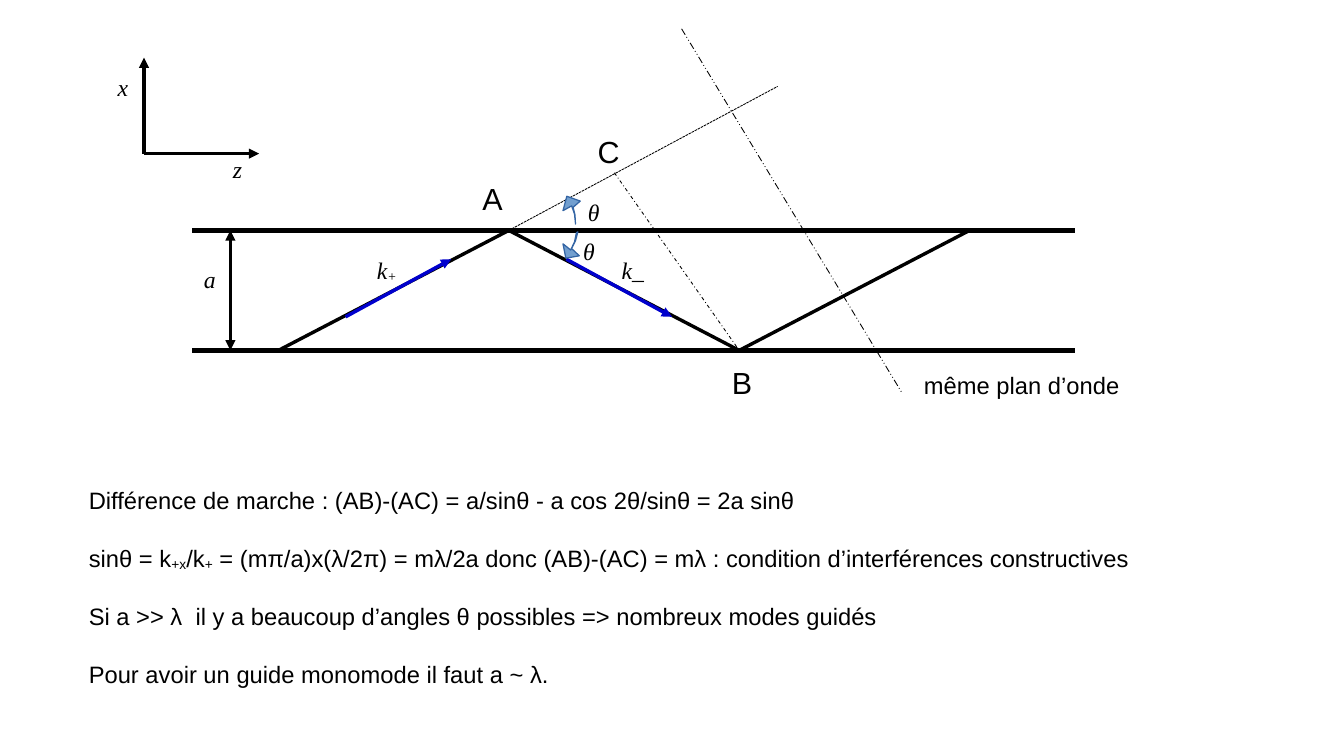
"""Build a slide on guided modes between two parallel mirrors."""
import pptx
import pptx.dml.color
import pptx.enum.dml
import pptx.enum.shapes
import pptx.oxml
import pptx.oxml.ns
import pptx.util

Cm = pptx.util.Cm
Pt = pptx.util.Pt
RGBColor = pptx.dml.color.RGBColor
DASH = pptx.enum.dml.MSO_LINE
SPACE = pptx.oxml.ns.nsdecls("a")

BLACK = RGBColor(0x00, 0x00, 0x00)
NAVY = RGBColor(0x00, 0x00, 0xCD)
BLUE = RGBColor(0x72, 0x9F, 0xCF)
STEEL = RGBColor(0x34, 0x65, 0xA4)

TOP, BASE = 4.8, 7.3
LEFT, RIGHT = 4, 22.4
POINT_A, POINT_B, POINT_C = (10.6, TOP), (15.4, BASE), (12.8, 3.6)
START, END = (5.8, BASE), (20.2, TOP)
AXES = (3, 3.2)

LABELS = [
    ("k_", 12.7, 5.2, 1.3),
    ("k|+", 7.6, 5.2, 1.2),
    ("θ", 12, 4, 0.8),
    ("θ", 11.9, 4.8, 0.8),
    ("z", 4.6, 3.1, 0.8),
    ("x", 2.2, 1.4, 0.8),
    ("a", 4, 5.4, 0.8),
]
POINTS = [("A", 9.8, 3.62), ("B", 15, 7.45), ("C", 12.2, 2.65)]
ARCS = [
    [(11.91, 4.29), (11.97, 4.46), (11.99, 4.65), (11.99, 4.67), (11.98, 4.48),
     (11.94, 4.32), (12.09, 4.19), (11.81, 4.09), (11.73, 4.39)],
    [(11.89, 5.21), (11.97, 5.04), (12.01, 4.85), (12.04, 4.83), (11.99, 5.02),
     (11.91, 5.18), (12.07, 5.33), (11.79, 5.38), (11.73, 5.08)],
]
NOTES = [
    "Différence de marche : (AB)-(AC) = a/sinθ - a cos 2θ/sinθ = 2a sinθ",
    "sinθ = k|+x|/k|+| = (mπ/a)x(λ/2π) = mλ/2a donc (AB)-(AC) = mλ : "
    "condition d’interférences constructives",
    "Si a >> λ  il y a beaucoup d’angles θ possibles => nombreux modes guidés",
    "Pour avoir un guide monomode il faut a ~ λ.",
]


def draw_line(slide, start, end, width=0, color=BLACK, dash=None, ends=()):
    """Draw a straight line with optional dashes and arrowheads."""
    line = slide.shapes.add_connector(
        pptx.enum.shapes.MSO_CONNECTOR.STRAIGHT, *map(Cm, start + end))
    line.line.color.rgb = color
    line.line.width = Pt(width)
    if dash:
        line.line.dash_style = dash
    for end_tag in ends:
        line.line._get_or_add_ln().append(pptx.oxml.parse_xml(
            f'<a:{end_tag} {SPACE} type="triangle"/>'))
    line._element.spPr.append(pptx.oxml.parse_xml(f'<a:effectLst {SPACE}/>'))


def write_runs(para, text, size, font, slant):
    """Fill a paragraph, with every second part between bars set low."""
    first, *rest = text.split("|")
    para.text = first
    for part in rest:
        para.add_run().text = part
    for index, run in enumerate(para.runs):
        run.font.size = Pt(size)
        run.font.name = font
        run.font.italic = slant
        run.font.color.rgb = BLACK
        if index % 2:
            run._r.get_or_add_rPr().set("baseline", "-8000")


def add_text(slide, lines, left, top, width, height=0.8, size=14,
             font="Arial", slant=False, gap=0):
    """Add a text box with one paragraph per line."""
    box = slide.shapes.add_textbox(*map(Cm, (left, top, width, height)))
    frame = box.text_frame
    frame.word_wrap = True
    frame.text = "\n".join(lines)
    for para, text in zip(frame.paragraphs, lines):
        para.space_after = Pt(gap)
        write_runs(para, text, size, font, slant)


def draw_arc(slide, points):
    """Draw a thin bent arrow that marks an angle."""
    first, *rest = [(Cm(x), Cm(y)) for x, y in points]
    pen = slide.shapes.build_freeform(*first)
    pen.add_line_segments(rest, close=True)
    arc = pen.convert_to_shape()
    arc.shadow.inherit = False
    arc.fill.solid()
    arc.fill.fore_color.rgb = BLUE
    arc.line.color.rgb = STEEL
    arc.line.width = Pt(0)


def draw_guide(slide):
    """Draw the mirrors, the rays, the wave plane and the axes."""
    for level in (TOP, BASE):
        draw_line(slide, (LEFT, level), (RIGHT, level), 2.83)
    draw_line(slide, (4.8, TOP), (4.8, BASE), ends=("headEnd", "tailEnd"))
    for start, end in ((START, POINT_A), (POINT_A, POINT_B), (POINT_B, END)):
        draw_line(slide, start, end)
    for start, end in (((7.2, 6.6), (9.4, 5.4)), ((11.8, 5.4), (14, 6.6))):
        draw_line(slide, start, end, color=NAVY, ends=("tailEnd",))
    draw_line(slide, POINT_A, (16.2, 1.8), 0.5, dash=DASH.SQUARE_DOT)
    draw_line(slide, POINT_C, POINT_B, 0.5, dash=DASH.DASH_DOT)
    draw_line(slide, (14.2, 0.6), (18.8, 8.2), 0.5, dash=DASH.DASH_DOT_DOT)
    for tip in ((3, 1.2), (5.4, 3.2)):
        draw_line(slide, AXES, tip, ends=("tailEnd",))
    for points in ARCS:
        draw_arc(slide, points)


def main():
    """Build the slide and save it."""
    deck = pptx.Presentation()
    deck.slide_width, deck.slide_height = Cm(28), Cm(15.75)
    slide = deck.slides.add_slide(deck.slide_layouts[6])
    draw_guide(slide)
    for text, left, top, width in LABELS:
        add_text(slide, [text], left, top, width,
                 font="Times New Roman", slant=True)
    for text, left, top in POINTS:
        add_text(slide, [text], left, top, 1.2, 0.96, size=18)
    add_text(slide, ["même plan d’onde"], 19, 7.6, 5)
    add_text(slide, NOTES, 1.6, 10, 24.2, 4.85, gap=17.5)
    deck.save("out.pptx")


if __name__ == "__main__":
    main()
